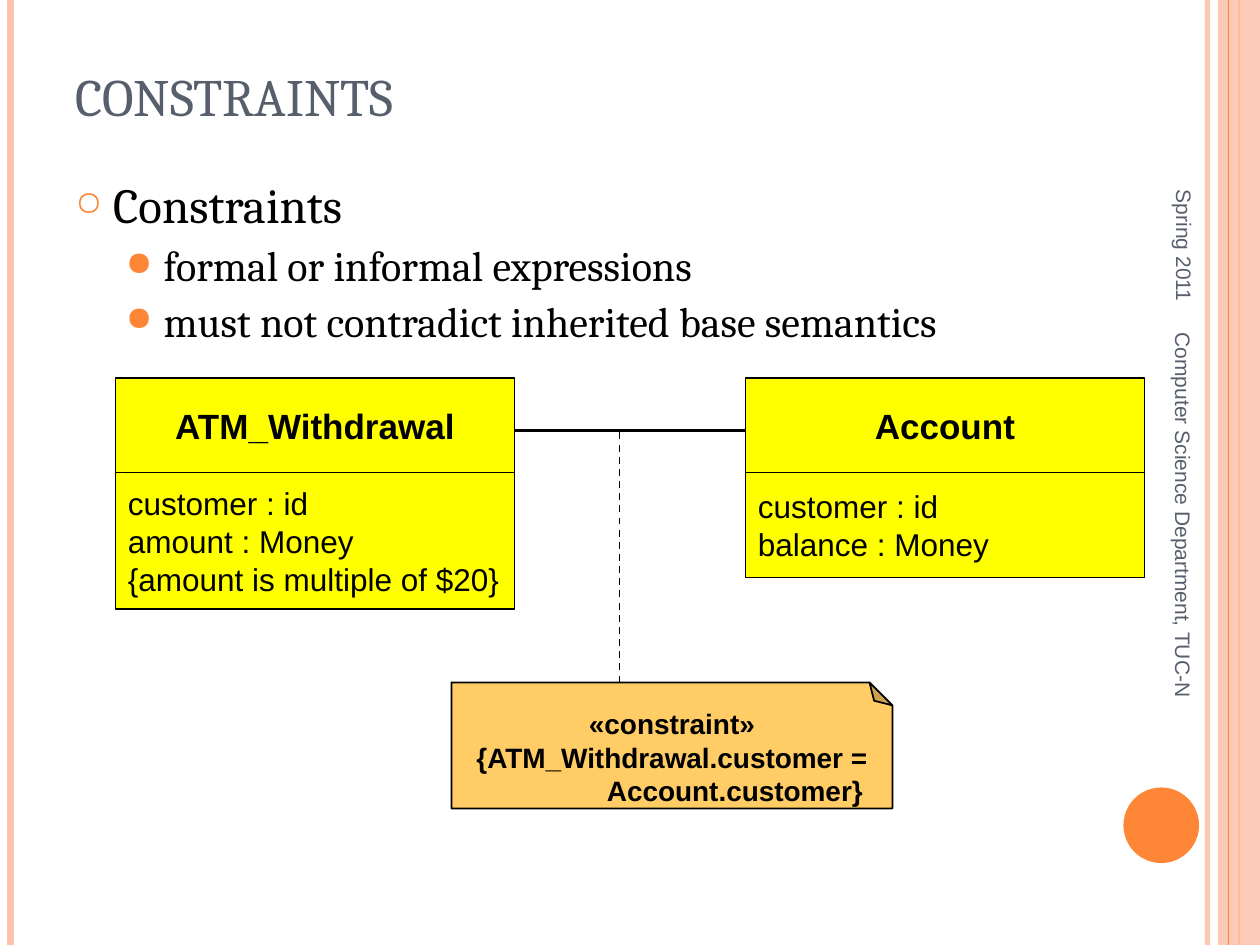
import pptx
import pptx.util
import pptx.dml.color
import pptx.enum.dml
import pptx.enum.shapes
import pptx.enum.text
import pptx.oxml
import pptx.oxml.ns
from lxml import etree

RGBColor = pptx.dml.color.RGBColor
PEACH = RGBColor(0xFE, 0xC3, 0xAE)
ORANGE = RGBColor(0xFE, 0x86, 0x37)
SLATE = RGBColor(0x57, 0x5F, 0x6D)
YELLOW = RGBColor(0xFF, 0xFF, 0x00)
NOTE = RGBColor(0xFF, 0xCC, 0x66)
BLACK = RGBColor(0, 0, 0)

Align = pptx.enum.text.PP_ALIGN
Anchor = pptx.enum.text.MSO_ANCHOR
Shape = pptx.enum.shapes.MSO_SHAPE
qn = pptx.oxml.ns.qn

# The slide is a grid of 120 columns and 90 rows, twelve to the inch
COLUMNS, ROWS = 120, 90


def grid(count):
    return pptx.util.Inches(count / 12)


def set_alpha(element, percent):
    color = element.find(".//" + qn("a:srgbClr"))
    etree.SubElement(color, qn("a:alpha")).set("val", str(percent * 1000))


def add_line(slide, start, end, color, width, dashed=False):
    line = slide.shapes.add_connector(
        pptx.enum.shapes.MSO_CONNECTOR.STRAIGHT, *map(grid, start + end))
    line.line.color.rgb = color
    line.line.width = pptx.util.Pt(width)
    if dashed:
        line.line.dash_style = pptx.enum.dml.MSO_LINE.DASH
    etree.SubElement(line._element.spPr, qn("a:effectLst"))
    return line


def add_stripe(slide, column, color, width):
    return add_line(slide, (column, 0), (column, ROWS), color, width)


def add_figure(slide, kind, box, fill, outlined=True):
    shape = slide.shapes.add_shape(kind, *map(grid, box))
    shape.shadow.inherit = False
    shape.fill.solid()
    shape.fill.fore_color.rgb = fill
    if outlined:
        shape.line.color.rgb = BLACK
        shape.line.width = pptx.util.Pt(1)
    else:
        shape.line.fill.background()
    return shape


def write(shape, text, size, font="Arial", color=BLACK, bold=False,
          align=Align.LEFT, anchor=Anchor.MIDDLE, wrap=True):
    frame = shape.text_frame
    frame.text = text
    frame.word_wrap = wrap
    frame.vertical_anchor = anchor
    for paragraph in frame.paragraphs:
        paragraph.alignment = align
        for run in paragraph.runs:
            run.font.name = font
            run.font.size = pptx.util.Pt(size)
            run.font.bold = bold
            run.font.color.rgb = color
    return frame


def add_text(slide, box, text, size, rotation=0, **style):
    shape = slide.shapes.add_textbox(*map(grid, box))
    shape.rotation = rotation
    return write(shape, text, size, **style)


def add_bullet(paragraph, character, percent, left):
    properties = paragraph._p.get_or_add_pPr()
    properties.set("marL", str(pptx.util.Inches(left)))
    properties.set("indent", str(pptx.util.Inches(-0.3)))
    color = etree.SubElement(properties, qn("a:buClr"))
    etree.SubElement(color, qn("a:srgbClr")).set("val", str(ORANGE))
    etree.SubElement(properties, qn("a:buSzPct")).set("val", str(percent * 1000))
    etree.SubElement(properties, qn("a:buChar")).set("char", character)


def add_frame(slide):
    set_alpha(add_stripe(slide, 115, PEACH, 3)._element, 93)
    add_stripe(slide, 1, PEACH, 4.5)
    add_stripe(slide, 118, ORANGE, 1.5)
    band = add_figure(slide, Shape.RECTANGLE, (116, 0, COLUMNS - 116, ROWS),
                      PEACH, outlined=False)
    set_alpha(band._element, 87)
    add_stripe(slide, 117, ORANGE, 0.75)
    add_figure(slide, Shape.OVAL, (107, 75, 7.2, 7.2), ORANGE, outlined=False)


def add_outline(slide):
    frame = add_text(
        slide, (6, 16.7, 108, 18.2),
        "Constraints\nformal or informal expressions\n"
        "must not contradict inherited base semantics",
        24, font="Cambria", anchor=Anchor.TOP)
    heading, *details = frame.paragraphs
    for paragraph in frame.paragraphs:
        paragraph.line_spacing = 0.9
    heading.runs[0].font.size = pptx.util.Pt(28)
    add_bullet(heading, "○", 70, 0.3)
    for paragraph in details:
        paragraph.level = 1
        paragraph.space_before = pptx.util.Pt(6)
        add_bullet(paragraph, "●", 80, 0.7)


def add_class(slide, column, name, attributes, rows):
    title = add_figure(slide, Shape.RECTANGLE, (column, 36, 38, 9), YELLOW)
    write(title, name, 20, bold=True, align=Align.CENTER, wrap=False)
    body = add_figure(slide, Shape.RECTANGLE, (column, 45, 38, rows), YELLOW)
    write(body, "\n".join(attributes), 18, wrap=False)


def add_constraint_note(slide):
    note = add_figure(slide, Shape.FOLDED_CORNER, (43, 65, 42, 12), NOTE)
    frame = write(note, "«constraint»\n{ATM_Withdrawal.customer =\n"
                  "Account.customer}", 16, bold=True, align=Align.CENTER)
    # Size of the fold
    adjustments = note._element.spPr.find(".//" + qn("a:avLst"))
    guide = etree.SubElement(adjustments, qn("a:gd"))
    guide.set("name", "adj")
    guide.set("fmla", "val 18200")
    # Fold at the top: flip the shape and turn its text back upright
    note._element.spPr.find(qn("a:xfrm")).set("flipV", "1")
    frame._txBody.bodyPr.set("rot", str(180 * 60000))
    last_line = frame.paragraphs[-1]._p.get_or_add_pPr()
    last_line.set("marL", str(pptx.util.Inches(1)))


def main():
    presentation = pptx.Presentation()
    presentation.slide_width = grid(COLUMNS)
    presentation.slide_height = grid(ROWS)
    slide = presentation.slides.add_slide(presentation.slide_layouts[6])

    add_frame(slide)

    # Title and outline
    title = add_text(slide, (6, 3.6, 98, 15), "CONSTRAINTS", 30,
                     font="Cambria", color=SLATE, anchor=Anchor.BOTTOM)
    title.margin_bottom = pptx.util.Inches(0.54)
    add_outline(slide)

    # Date and footer along the right edge
    add_text(slide, (99.6, 14.2, 26.4, 5), "Spring 2011", 12, rotation=90,
             color=SLATE, align=Align.RIGHT)
    add_text(slide, (91.7, 49.1, 42, 4.8), "Computer Science Department, TUC-N",
             12, rotation=90, color=SLATE)

    # Class diagram
    add_class(slide, 11, "ATM_Withdrawal",
              ["customer : id", "amount : Money",
               "{amount is multiple of $20}"], 13)
    add_class(slide, 71, "Account", ["customer : id", "balance : Money"], 10)
    add_line(slide, (49, 41), (71, 41), BLACK, 2.25)
    add_constraint_note(slide)
    add_line(slide, (59, 65), (59, 41), BLACK, 1, dashed=True)

    presentation.save("out.pptx")


if __name__ == "__main__":
    main()
